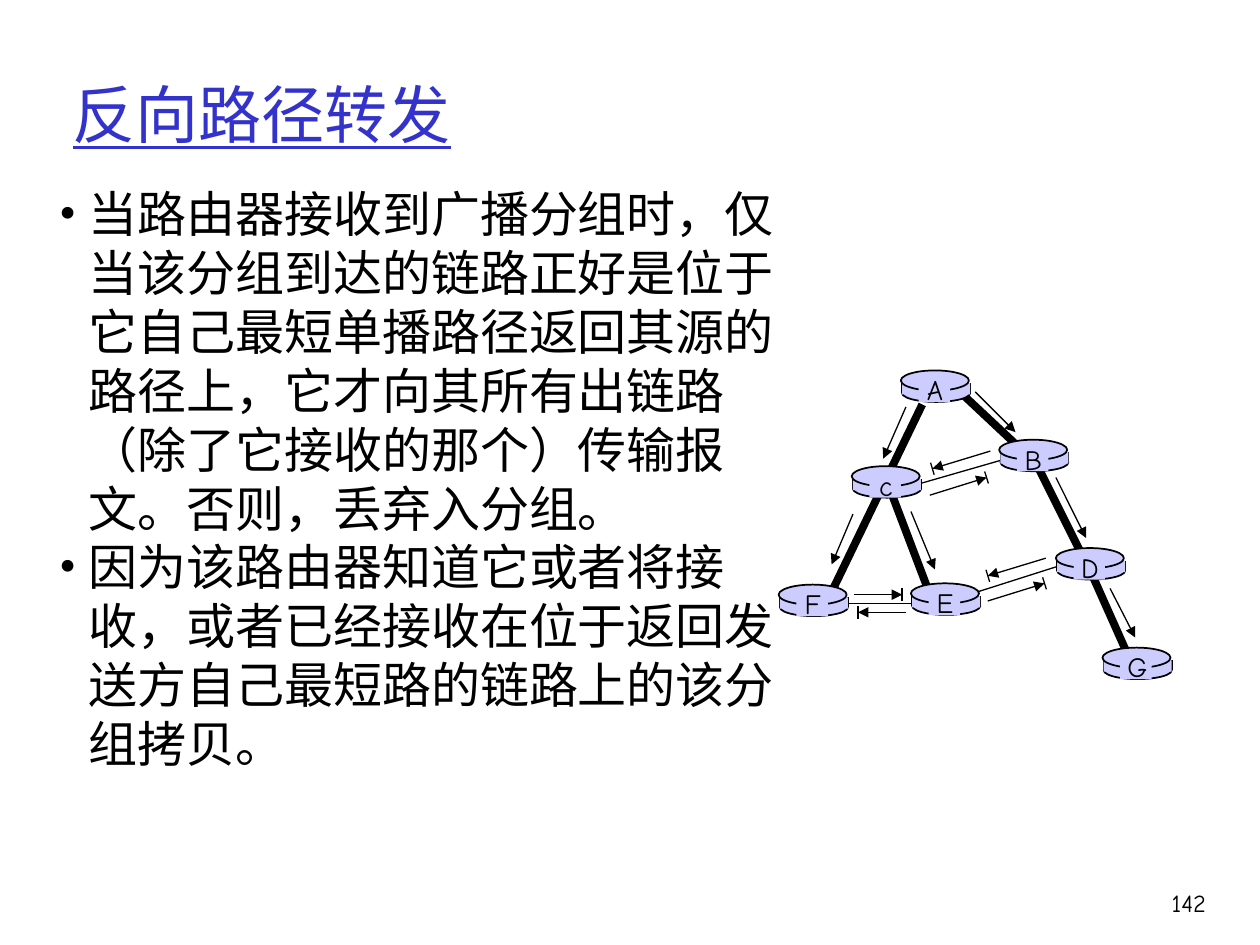
import math
from dataclasses import dataclass

import pptx
import pptx.dml.color
import pptx.enum.shapes
import pptx.enum.text
import pptx.oxml.ns
import pptx.util
from lxml import etree

SLIDE_W, SLIDE_H = pptx.util.Inches(10), pptx.util.Inches(7.5)
COLUMNS = 1000  # fine square grid: 1000 columns by 750 rows
CELL = SLIDE_W // COLUMNS


@dataclass(frozen=True)
class Theme:
    ink: str = "000000"
    title: str = "3333CC"
    router: str = "CCCCFF"
    body_font: str = "Comic Neue"
    title_font: str = "Times New Roman"
    title_size: int = 36
    body_size: int = 28
    label_size: int = 16
    number_size: int = 14
    tree_line: float = 4.5
    rim_line: float = 1
    thin_line: float = 0.75


THEME = Theme()
SHAPES = pptx.enum.shapes.MSO_SHAPE
ALIGN = pptx.enum.text.PP_ALIGN
ANCHOR = pptx.enum.text.MSO_ANCHOR

TITLE = "反向路径转发"
RULES = [
    "当路由器接收到广播分组时，仅当该分组到达的链路正好是位于它自己最短单播路径返回其源的路径上，"
    "它才向其所有出链路（除了它接收的那个）传输报文。否则，丢弃入分组。",
    "因为该路由器知道它或者将接收，或者已经接收在位于返回发送方自己最短路的链路上的该分组拷贝。",
]

# Left and top of each router's upper face, in grid cells
ROUTERS = {"A": (715, 294), "B": (793, 349), "G": (875, 514), "D": (838, 435),
           "E": (723, 463), "c": (676, 370), "F": (618, 464)}
TREE_LINKS = [(821, 365, 858, 439), (860, 441, 897, 524), (737, 469, 707, 390),
              (765, 314, 813, 359), (732, 321, 659, 472)]
OTHER_LINKS = [(841, 449, 775, 470), (740, 479, 660, 479), (726, 385, 799, 364)]
FORWARDED = [(719, 323, 701, 364), (677, 408, 660, 448), (774, 311, 806, 343),
             (838, 379, 862, 427), (881, 467, 901, 506), (723, 406, 742, 452)]
DROPPED = [(786, 358, 740, 372), (738, 393, 783, 379),
           (830, 443, 784, 457), (784, 477, 829, 463),
           (678, 472, 716, 472), (719, 486, 681, 486)]


def cells(*values):
    return [round(value * CELL) for value in values]


def rgb(color):
    return pptx.dml.color.RGBColor.from_string(color)


def add_line(shapes, ends, width, arrow=False):
    line = shapes.add_connector(pptx.enum.shapes.MSO_CONNECTOR.STRAIGHT, *cells(*ends))
    line.line.color.rgb = rgb(THEME.ink)
    line.line.width = pptx.util.Pt(width)
    if arrow:
        etree.SubElement(line.line._get_or_add_ln(),
                         pptx.oxml.ns.qn("a:tailEnd"), type="triangle")
    etree.SubElement(line._element.spPr, pptx.oxml.ns.qn("a:effectLst"))


def add_face(shapes, kind, box, outlined):
    face = shapes.add_shape(kind, *cells(*box))
    face.shadow.inherit = False
    face.fill.solid()
    face.fill.fore_color.rgb = rgb(THEME.router)
    if outlined:
        face.line.color.rgb = rgb(THEME.ink)
        face.line.width = pptx.util.Pt(THEME.rim_line)
    else:
        face.line.fill.background()


def add_bullet(paragraph):
    properties = paragraph._p.get_or_add_pPr()
    indent = round(23.5 * CELL)
    properties.set("marL", str(indent))
    properties.set("indent", str(-indent))
    properties.set("hangingPunct", "0")  # keep punctuation inside the box
    color = etree.SubElement(properties, pptx.oxml.ns.qn("a:buClr"))
    etree.SubElement(color, pptx.oxml.ns.qn("a:srgbClr"), val=THEME.ink)
    etree.SubElement(properties, pptx.oxml.ns.qn("a:buFont"), typeface=THEME.title_font)
    etree.SubElement(properties, pptx.oxml.ns.qn("a:buChar"), char="•")


def add_text(shapes, box, paragraphs, *, size, font=THEME.body_font, color=THEME.ink,
             align=ALIGN.LEFT, anchor=ANCHOR.TOP, underline=False, bullets=False, wrap=True):
    frame = shapes.add_textbox(*cells(*box)).text_frame
    frame.word_wrap = wrap
    frame.vertical_anchor = anchor
    for index, text in enumerate(paragraphs):
        paragraph = frame.add_paragraph() if index else frame.paragraphs[0]
        paragraph.alignment = align
        if bullets:
            add_bullet(paragraph)
        run = paragraph.add_run()
        run.text = text
        run.font.name = font
        run.font.size = pptx.util.Pt(size)
        run.font.color.rgb = rgb(color)
        run.font.underline = underline


def add_router(slide, name, x, y):
    parts = slide.shapes.add_group_shape().shapes
    # Bottom rim and side walls
    add_face(parts, SHAPES.OVAL, (x + 1, y + 11, 54, 14), True)
    for side in (x + 1, x + 55):
        add_line(parts, (side, y + 10, side, y + 18), THEME.rim_line)
    add_face(parts, SHAPES.RECTANGLE, (x + 1, y + 10, 54, 9), False)
    # Upper face with a clear patch behind the name
    add_face(parts, SHAPES.OVAL, (x, y, 54, 16), True)
    add_face(parts, SHAPES.RECTANGLE, (x + 14, y + 2, 25, 23), False)
    add_text(parts, (x + 10, y - 3, 34, 37), [name], size=THEME.label_size,
             align=ALIGN.CENTER, wrap=False)


def add_dropped_packet(slide, x1, y1, x2, y2):
    """Arrow that ends at a short bar across its tip."""
    add_line(slide.shapes, (x1, y1, x2, y2), THEME.thin_line, arrow=True)
    half = 5 / math.hypot(x2 - x1, y2 - y1)
    dx, dy = (y1 - y2) * half, (x2 - x1) * half
    add_line(slide.shapes, (x2 - dx, y2 - dy, x2 + dx, y2 + dy), THEME.thin_line)


def main():
    deck = pptx.Presentation()
    deck.slide_width, deck.slide_height = SLIDE_W, SLIDE_H
    slide = deck.slides.add_slide(deck.slide_layouts[6])

    # Network: links below the routers
    for link in TREE_LINKS:
        add_line(slide.shapes, link, THEME.tree_line)
    for link in OTHER_LINKS:
        add_line(slide.shapes, link, THEME.thin_line)
    for name, corner in ROUTERS.items():
        add_router(slide, name, *corner)

    # Packets sent along the links
    for packet in FORWARDED:
        add_line(slide.shapes, packet, THEME.thin_line, arrow=True)
    for packet in DROPPED:
        add_dropped_packet(slide, *packet)

    # Explanation, title and page number
    add_text(slide.shapes, (37, 141, 595, 477), RULES, size=THEME.body_size,
             anchor=ANCHOR.MIDDLE, bullets=True)
    add_text(slide.shapes, (48, 52, 918, 75), [TITLE], size=THEME.title_size,
             font=THEME.title_font, color=THEME.title, anchor=ANCHOR.MIDDLE, underline=True)
    add_text(slide.shapes, (893, 700, 74, 50), ["142"], size=THEME.number_size,
             align=ALIGN.RIGHT)
    deck.save("out.pptx")


if __name__ == "__main__":
    main()
